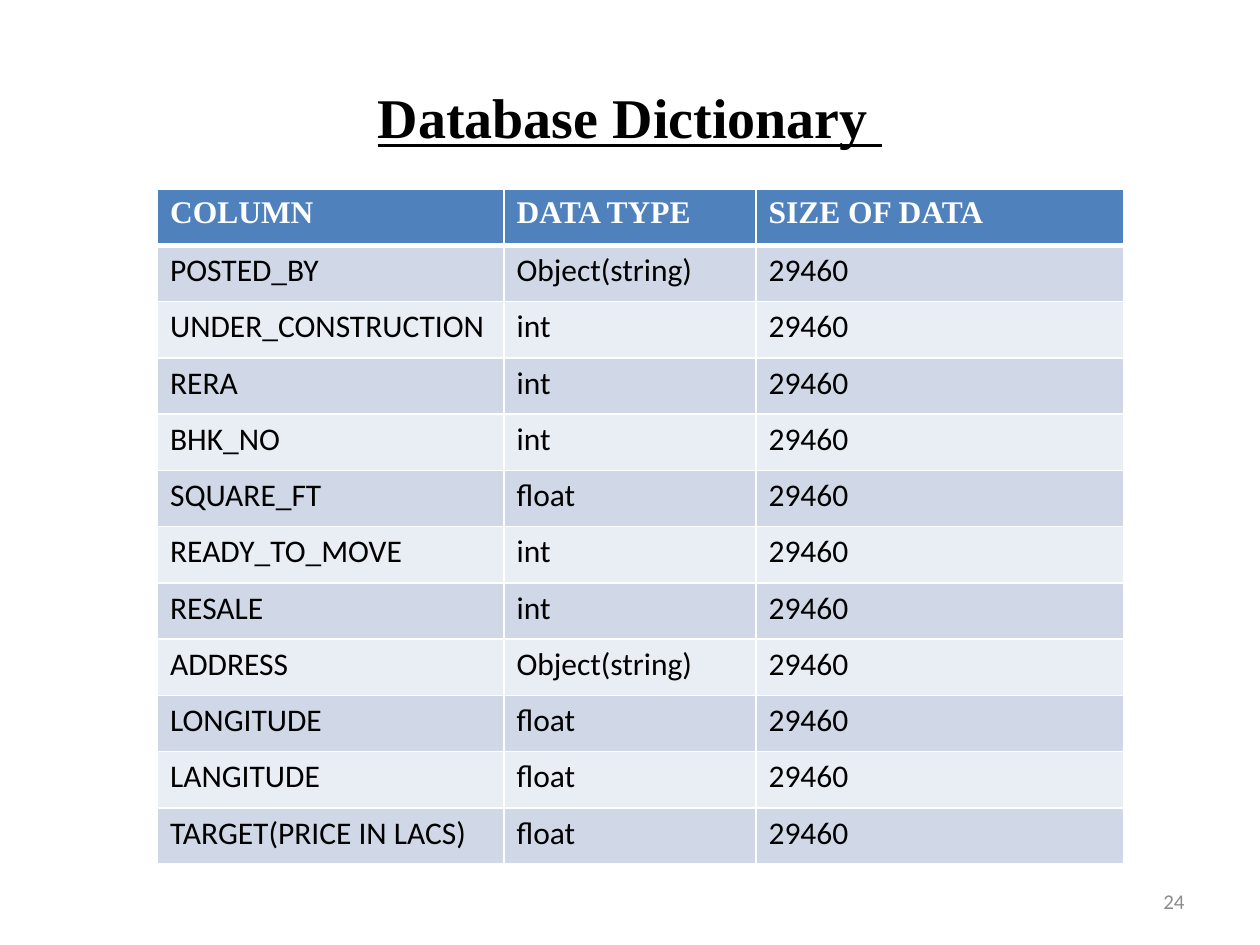
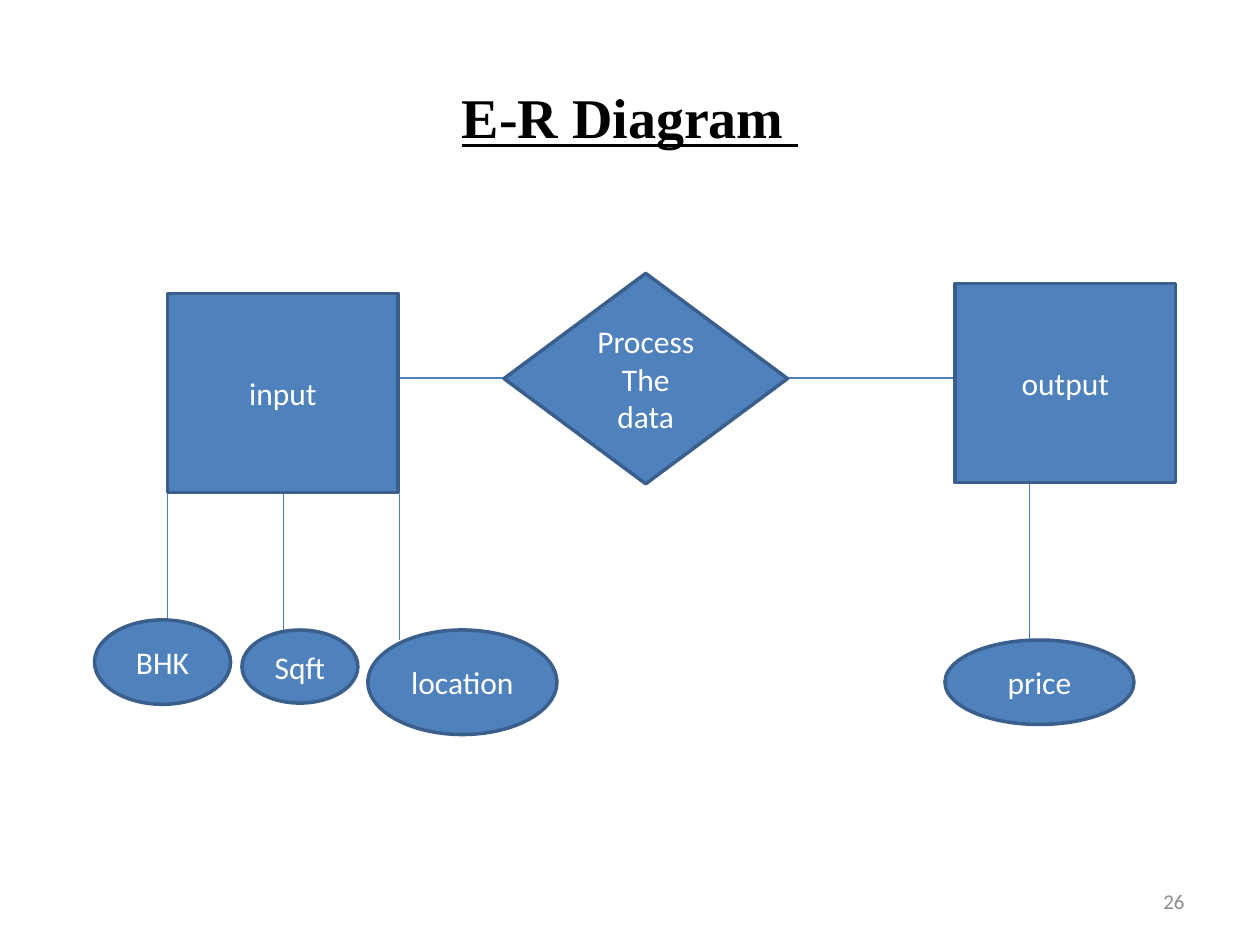
from typing import NamedTuple

from lxml.etree import SubElement
from pptx import Presentation
from pptx.dml.color import RGBColor
from pptx.enum.shapes import MSO_CONNECTOR, MSO_SHAPE as SHAPE
from pptx.enum.text import MSO_ANCHOR as ANCHOR, PP_ALIGN as ALIGN
from pptx.oxml.ns import qn
from pptx.util import Inches, Pt

BLUE, EDGE, LINK = "4F81BD", "3A5F8C", "4B7EBC"
BANDS = ("D0D8E8", "E9EDF4")
WHITE, BLACK, GREY = "FFFFFF", "000000", "8C8C8C"
SERIF, SANS = "Times New Roman", "Calibri"


class Style(NamedTuple):
    """Look of a run of text."""
    size: float
    font: str
    color: str
    bold: bool = False
    underline: bool = False


class Node(NamedTuple):
    """A labelled shape of the diagram."""
    kind: SHAPE
    left: float
    top: float
    width: float
    height: float
    lines: tuple[str, ...]


class Link(NamedTuple):
    """A straight line between two points."""
    x1: float
    y1: float
    x2: float
    y2: float


TITLE = Style(32, SERIF, BLACK, True, True)
NUMBER = Style(12, SANS, GREY)
HEADER = Style(18, SERIF, WHITE, True)
BODY = Style(18, SANS, BLACK)
LABEL = Style(18, SANS, WHITE)

HEADINGS = ("COLUMN", "DATA TYPE", "SIZE OF DATA")
WIDTHS = (2.75, 2, 2.92)
ROW_COUNT = "29460"
FIELDS = (
    ("POSTED_BY", "Object(string)"),
    ("UNDER_CONSTRUCTION", "int"),
    ("RERA", "int"),
    ("BHK_NO", "int"),
    ("SQUARE_FT", "float"),
    ("READY_TO_MOVE", "int"),
    ("RESALE", "int"),
    ("ADDRESS", "Object(string)"),
    ("LONGITUDE", "float"),
    ("LANGITUDE", "float"),
    ("TARGET(PRICE IN LACS)", "float"),
)

LINKS = (
    Link(3.17, 3, 4, 3),
    Link(6.25, 3, 7.58, 3),
    *(Link(x, 3.92, x, 5.08) for x in (1.33, 2.25, 3.17)),
    Link(8.17, 3.83, 8.17, 5.08),
)
NODES = (
    Node(SHAPE.RECTANGLE, 1.33, 2.33, 1.83, 1.58, ("input",)),
    Node(SHAPE.FLOWCHART_DECISION, 4, 2.17, 2.25, 1.67, ("Process", "The", "data")),
    Node(SHAPE.RECTANGLE, 7.58, 2.25, 1.75, 1.58, ("output",)),
    Node(SHAPE.OVAL, 0.75, 4.92, 1.08, 0.67, ("BHK",)),
    Node(SHAPE.OVAL, 1.92, 5, 0.92, 0.58, ("Sqft",)),
    Node(SHAPE.OVAL, 2.92, 5, 1.5, 0.83, ("location",)),
    Node(SHAPE.OVAL, 7.5, 5.08, 1.5, 0.67, ("price",)),
)


def rgb(color: str) -> RGBColor:
    """Turn a hex string into a colour."""
    return RGBColor.from_string(color)


def write(tf, lines: tuple[str, ...], style: Style, align=ALIGN.LEFT) -> None:
    """Fill a text frame with one paragraph per line."""
    for i, line in enumerate(lines):
        p = tf.add_paragraph() if i else tf.paragraphs[0]
        p.alignment = align
        r = p.add_run()
        r.text = line
        r.font.size, r.font.name = Pt(style.size), style.font
        r.font.bold, r.font.underline = style.bold, style.underline
        r.font.color.rgb = rgb(style.color)


def add_text(s, box: tuple, text: str, style: Style, align) -> None:
    """Add a vertically centred text box."""
    tf = s.shapes.add_textbox(*map(Inches, box)).text_frame
    tf.word_wrap = True
    tf.vertical_anchor = ANCHOR.MIDDLE
    write(tf, (text,), style, align)


def add_slide(prs, title: str, number: int):
    """Add a blank slide with its title and number."""
    s = prs.slides.add_slide(prs.slide_layouts[6])
    add_text(s, (0.5, 0.3, 9, 1.25), title, TITLE, ALIGN.CENTER)
    add_text(s, (7.17, 6.95, 2.33, 0.4), str(number), NUMBER, ALIGN.RIGHT)
    return s


def set_borders(cell, top: float, bottom: float) -> None:
    """Give a cell white borders, with widths in points."""
    tc_pr = cell._tc.get_or_add_tcPr()
    for side, width in (("L", 1), ("R", 1), ("T", top), ("B", bottom)):
        ln = SubElement(tc_pr, qn(f"a:ln{side}"), w=str(Pt(width)))
        fill = SubElement(ln, qn("a:solidFill"))
        SubElement(fill, qn("a:srgbClr"), val=WHITE)


def add_dictionary(s) -> None:
    """Add the table of columns, types and sizes."""
    rows = (HEADINGS, *((*field, ROW_COUNT) for field in FIELDS))
    table = s.shapes.add_table(len(rows), len(HEADINGS), Inches(1.25), Inches(1.5),
                               Inches(sum(WIDTHS)), Inches(5.36)).table
    for column, width in zip(table.columns, WIDTHS):
        column.width = Inches(width)
    for i, row in enumerate(rows):
        for j, text in enumerate(row):
            cell = table.cell(i, j)
            set_borders(cell, 3 if i == 1 else 1, 3 if i == 0 else 1)
            cell.fill.solid()
            cell.fill.fore_color.rgb = rgb(BANDS[(i - 1) % 2] if i else BLUE)
            write(cell.text_frame, (text,), BODY if i else HEADER)


def add_link(s, link: Link) -> None:
    """Draw a thin line."""
    c = s.shapes.add_connector(MSO_CONNECTOR.STRAIGHT, *map(Inches, link))
    c.line.color.rgb = rgb(LINK)
    c.line.width = Pt(0.75)
    SubElement(c._element.spPr, qn("a:effectLst"))


def add_node(s, node: Node) -> None:
    """Draw a filled shape with its centred label."""
    box = (node.left, node.top, node.width, node.height)
    sp = s.shapes.add_shape(node.kind, *map(Inches, box))
    sp.shadow.inherit = False
    sp.fill.solid()
    sp.fill.fore_color.rgb = rgb(BLUE)
    sp.line.color.rgb = rgb(EDGE)
    sp.line.width = Pt(2)
    sp.text_frame.vertical_anchor = ANCHOR.MIDDLE
    write(sp.text_frame, node.lines, LABEL, ALIGN.CENTER)


def main() -> None:
    """Build both slides and save them."""
    prs = Presentation()
    prs.slide_width, prs.slide_height = Inches(10), Inches(7.5)
    add_dictionary(add_slide(prs, "Database Dictionary ", 24))
    s = add_slide(prs, "E-R Diagram ", 26)
    for link in LINKS:
        add_link(s, link)
    for node in NODES:
        add_node(s, node)
    prs.save("out.pptx")


if __name__ == "__main__":
    main()
